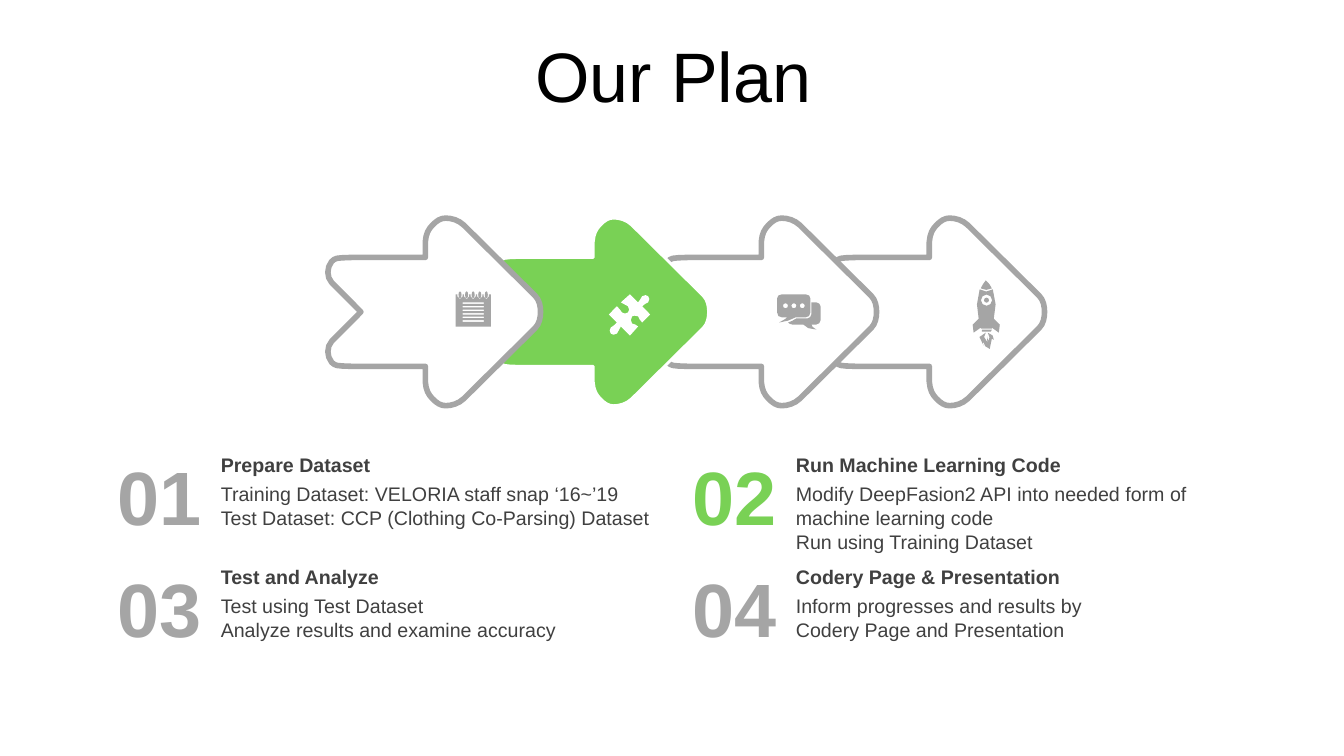
from pptx import Presentation
from pptx.dml.color import RGBColor
from pptx.enum.text import MSO_ANCHOR, PP_ALIGN
from pptx.util import Pt

BLACK = RGBColor(0x00, 0x00, 0x00)
WHITE = RGBColor(0xFF, 0xFF, 0xFF)
GRAY = RGBColor(0xA5, 0xA5, 0xA5)
GREEN = RGBColor(0x79, 0xD1, 0x55)
CHARCOAL = RGBColor(0x40, 0x40, 0x40)

ARROW_CURVE_STEPS, ICON_CURVE_STEPS = 4, 2
ARROW_PITCH = 120
COLUMN_PITCH, ROW_PITCH = 410.8, 80

STEPS = [
    ("01", "Prepare Dataset", GRAY,
     ["Training Dataset: VELORIA staff snap ‘16~’19",
      "Test Dataset: CCP (Clothing Co-Parsing) Dataset"]),
    ("02", "Run Machine Learning Code", GREEN,
     ["Modify DeepFasion2 API into needed form of machine learning code",
      "Run using Training Dataset"]),
    ("03", "Test and Analyze", GRAY,
     ["Test using Test Dataset", "Analyze results and examine accuracy"]),
    ("04", "Codery Page & Presentation", GRAY,
     ["Inform progresses and results by", "Codery Page and Presentation"]),
]

# Upper edge of an arrow from notch to tip, relative to its left end and axis
ARROW_EDGE = (
    "M 24.5 0 L 3.6 -21 C 0 -25 0 -31.5 3.6 -36 C 6.5 -38.5 5.8 -38.5 18 -38.9 "
    "L 70.5 -38.9 L 70.5 -50 C 71 -56 72.7 -59 75.6 -62 C 78.5 -65 81.4 -67 85 -67 "
    "C 89.3 -67 94.3 -65.5 98 -62 L 149 -11.5 C 152 -8.5 152.8 -4 152.8 0")

PUZZLE = (
    "M 28.1 1.4 C 28.8 2.2 29.5 4.3 28.1 5.8 C 26.6 7.2 25.2 6.5 23.8 8.6 "
    "L 29.5 14.4 L 23.8 20.2 C 21.6 18.7 22.3 17.3 20.9 15.8 "
    "C 19.4 15.1 17.3 15.1 16.6 15.8 C 15.8 17.3 15.1 19.4 16.6 20.9 "
    "C 18.7 22.3 19.4 20.9 20.9 23 L 15.1 29.5 L 8.6 23 "
    "C 6.5 25.2 7.9 25.9 5.8 28.1 C 4.3 29.5 2.2 28.8 1.4 28.1 "
    "C 0.7 26.6 0 25.2 1.4 23.8 C 2.9 21.6 4.3 23 5.8 20.2 L 0 14.4 L 5.8 8.6 "
    "C 8.6 10.1 7.2 11.5 9.4 13 C 10.8 14.4 12.2 13.7 13.7 13 "
    "C 14.4 12.2 15.1 10.1 13.7 8.6 C 11.5 6.5 10.8 7.9 8.6 5.8 L 15.1 0 L 20.9 5.8 "
    "C 23 4.3 21.6 3.6 23.8 1.4 C 25.2 0 27.4 0.7 28.1 1.4")

BUBBLES = (
    "M 24.5 5.8 L 28 5.8 C 29.5 5.8 31 7.2 31 8.6 L 31 18.7 C 31 20.2 29.5 21.6 28 21.6 "
    "L 24.5 21.6 C 25.2 23 25.2 23.8 28 25.2 C 22.3 24.5 21.6 24.5 18.7 21.6 "
    "L 10.8 21.6 C 9.4 21.6 8.6 20.9 7.9 20.2 C 10.1 19.4 11.5 18.7 13.7 17.3 "
    "L 21.6 17.3 C 23 17.3 24.5 15.8 24.5 14.4 "
    "M 3.6 0 L 20.2 0 C 22.3 0 23.8 1.4 23.8 2.9 L 23.8 13 C 23.8 15.1 22.3 16.6 20.2 16.6 "
    "L 13 16.6 C 8.6 18.7 7.2 19.4 1.4 20.2 C 5 18 5.8 18 7.2 16.6 "
    "L 3.6 16.6 C 1.4 16.6 0 15.1 0 13 L 0 2.9 C 0 1.4 1.4 0 3.6 0")

ROCKET = (
    "M 9.4 37.4 C 7.9 38.2 7.2 42.5 10.8 44.6 C 10.1 42.5 10.1 41.8 10.8 40.3 "
    "C 10.8 41 10.1 42.5 11.5 43.2 C 10.8 41 13.7 40.3 10.8 37.4 "
    "C 15.1 38.2 14.4 40.3 15.1 42.5 C 14.4 42.5 13 41 13.7 41.8 "
    "C 15.1 45.4 10.8 45.4 12.2 49 C 7.9 49 9.4 45.4 7.9 44.6 "
    "C 7.2 43.9 6.5 44.6 7.9 46.8 C 1.4 41.8 5.8 38.2 9.4 37.4 "
    "M 6.5 35.3 L 13.7 35.3 L 13 36.7 L 6.5 36.7 "
    "M 5 6.5 C 7.9 8.6 11.5 8.6 14.4 6.5 C 17.3 13.7 16.6 20.9 15.1 27.4 "
    "L 19.4 31.7 L 18.7 37.4 L 13.7 33.8 L 13.7 34.6 L 5.8 34.6 L 5.8 33.8 "
    "L 0.7 37.4 L 0 31.7 L 4.3 27.4 C 2.9 20.9 2.2 13.7 5 6.5 "
    "M 9.4 0 C 11.5 2.2 13 3.6 13.7 5.8 C 11.5 7.2 7.9 7.2 5.8 5.8 C 6.5 3.6 7.9 2.2 9.4 0 ")


def trace(outline, curve_steps):
    """Turn an outline of M, L and C commands into contours of points."""
    contours = []
    tokens = iter(outline.split())
    for command in tokens:
        count = 6 if command == "C" else 2
        numbers = [float(next(tokens)) for _ in range(count)]
        points = list(zip(numbers[::2], numbers[1::2]))
        if command == "M":
            contours.append(points)
        elif command == "L":
            contours[-1] += points
        else:
            curve = [contours[-1][-1]] + points
            for step in range(1, curve_steps + 1):
                t = step / curve_steps
                weights = ((1 - t) ** 3, 3 * t * (1 - t) ** 2, 3 * t * t * (1 - t), t ** 3)
                contours[-1].append(tuple(
                    sum(w * point[axis] for w, point in zip(weights, curve))
                    for axis in (0, 1)))
    return contours


def ellipse(x, y, rx, ry):
    kx, ky = rx * 0.55, ry * 0.55
    return (f"M {x - rx} {y} C {x - rx} {y - ky} {x - kx} {y - ry} {x} {y - ry} "
            f"C {x + kx} {y - ry} {x + rx} {y - ky} {x + rx} {y} "
            f"C {x + rx} {y + ky} {x + kx} {y + ry} {x} {y + ry} "
            f"C {x - kx} {y + ry} {x - rx} {y + ky} {x - rx} {y} ")


def notepad():
    sheet, rings = "M 0 2.2 ", ""
    for ring in range(5):
        x = 3.2 + 4.7 * ring
        sheet += (f"L {x - 1.9} 2.2 L {x - 1.9} 3.6 C {x - 1.9} 6.4 {x + 1.9} 6.4 "
                  f"{x + 1.9} 3.6 L {x + 1.9} 2.2 ")
        rings += ellipse(x, 2.5, 1.1, 2.5)
    sheet += "L 25.2 2.2 L 25.2 25.2 L 0 25.2 "
    for row in range(6):
        y = 7.9 + 2.55 * row
        sheet += f"M 5 {y} L 20.2 {y} L 20.2 {y + 1.1} L 5 {y + 1.1} "
    return sheet + rings


def add_outline(page, left, top, contours, fill, line=None, weight=0):
    builder = None
    for contour in contours:
        points = [(Pt(x), Pt(y)) for x, y in contour]
        if builder is None:
            builder = page.shapes.build_freeform(*points[0], scale=1.0)
        else:
            builder.move_to(*points[0])
        builder.add_line_segments(points[1:], close=True)
    shape = builder.convert_to_shape(Pt(left), Pt(top))
    shape.shadow.inherit = False
    shape.fill.solid()
    shape.fill.fore_color.rgb = fill
    if line is None:
        shape.line.fill.background()
    else:
        shape.line.color.rgb = line
        shape.line.width = Pt(weight)


def add_text(page, box, lines, size, color, bold=False, align=PP_ALIGN.LEFT,
             anchor=MSO_ANCHOR.MIDDLE, insets=(0, 3.6, 7.2, 3.6), spacing=None):
    frame = page.shapes.add_textbox(*(Pt(length) for length in box)).text_frame
    frame.word_wrap = True
    frame.vertical_anchor = anchor
    (frame.margin_left, frame.margin_top,
     frame.margin_right, frame.margin_bottom) = (Pt(inset) for inset in insets)
    for index, line in enumerate(lines):
        para = frame.add_paragraph() if index else frame.paragraphs[0]
        para.alignment = align
        para.line_spacing = spacing
        span = para.add_run()
        span.text = line
        span.font.name = "Arial"
        span.font.size = Pt(size)
        span.font.bold = bold
        span.font.color.rgb = color


def add_arrows(page, left, axis):
    upper = trace(ARROW_EDGE, ARROW_CURVE_STEPS)[0]
    arrow = [upper + [(x, -y) for x, y in reversed(upper[1:-1])]]
    # Later arrows lie beneath earlier ones
    for index in reversed(range(4)):
        style = (GREEN, WHITE, 2) if index == 1 else (WHITE, GRAY, 4)
        add_outline(page, left + index * ARROW_PITCH, axis, arrow, *style)
    # Icons, placed from the left end and axis of the row
    dots = "".join(ellipse(x, 8.2, 1.8, 1.8) for x in (6, 12, 18))
    window = ellipse(9.9, 14.2, 1.8, 1.8) + ellipse(9.9, 14.2, 4, 4)
    icons = [(92.1, -14.7, notepad(), GRAY), (201.6, -12.6, PUZZLE, WHITE),
             (321.8, -12.6, dots + BUBBLES, GRAY), (461.5, -22.6, ROCKET + window, GRAY)]
    for x, y, outline, color in icons:
        add_outline(page, left + x, axis + y, trace(outline, ICON_CURVE_STEPS), color)


def add_step(page, left, top, number, heading, color, lines):
    add_text(page, (left, top + 1.4, 67.7, 65.5), [number], 54, color, bold=True,
             align=PP_ALIGN.RIGHT, insets=(0, 0, 0, 0))
    add_text(page, (left + 81.4, top, 320.4, 24.5), [heading], 14, CHARCOAL, bold=True)
    add_text(page, (left + 81.4, top + 21.3, 320.4, 41), lines, 14, CHARCOAL,
             anchor=MSO_ANCHOR.TOP)


def main():
    deck = Presentation()
    deck.slide_width, deck.slide_height = Pt(960), Pt(540)
    page = deck.slides.add_slide(deck.slide_layouts[6])
    add_text(page, (25.2, 26.6, 911.5, 56.9), ["Our Plan"], 50, BLACK,
             align=PP_ALIGN.CENTER, insets=(7.2, 15, 7.2, 3.6), spacing=0.7)
    add_arrows(page, 233.3, 222.8)
    for index, step in enumerate(STEPS):
        row, column = divmod(index, 2)
        add_step(page, 76.3 + column * COLUMN_PITCH, 319.7 + row * ROW_PITCH, *step)
    deck.save("out.pptx")


if __name__ == "__main__":
    main()
